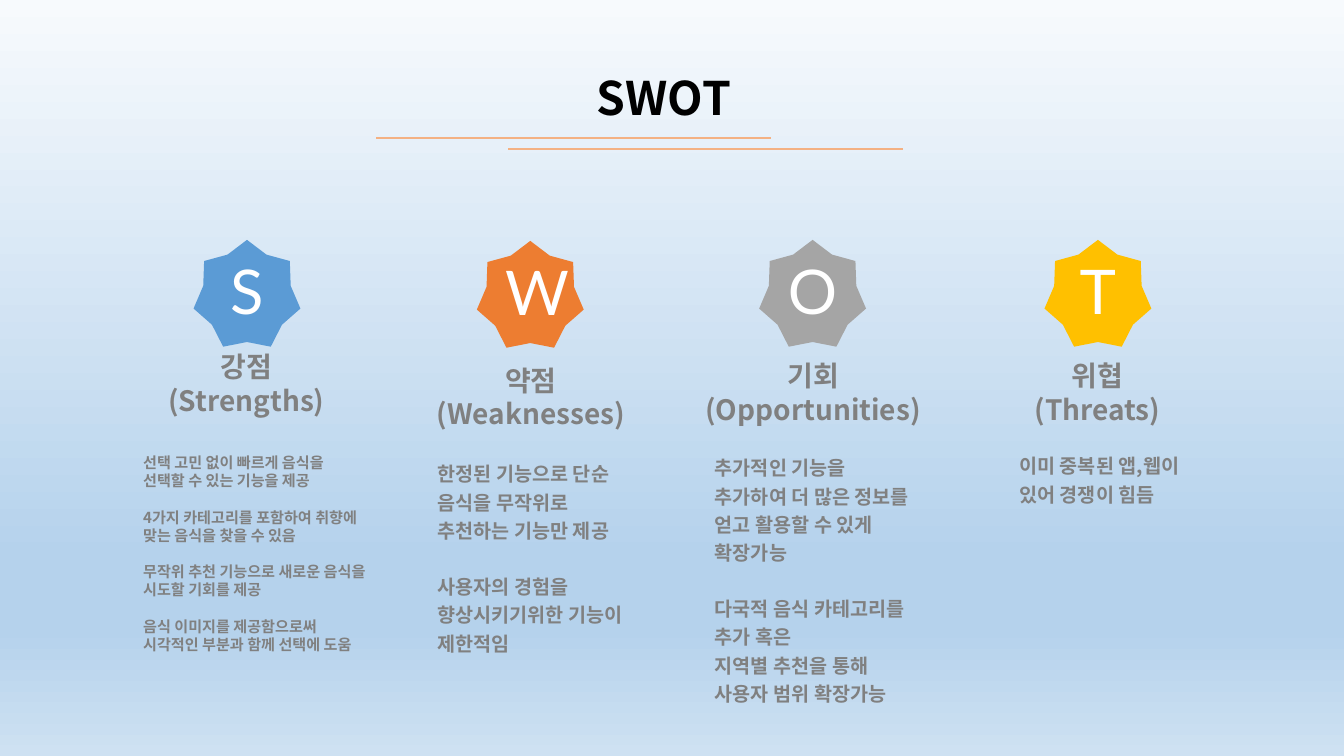
from copy import deepcopy
from dataclasses import dataclass

from lxml import etree
from pptx import Presentation
from pptx.dml.color import RGBColor
from pptx.enum import shapes, text
from pptx.oxml import ns
from pptx.util import Inches, Pt

KOREAN = "Noto Sans CJK KR"
GREY = "808080"


@dataclass
class Column:
    letter: str
    fill: str
    star: tuple[float, float]
    head: tuple[float, float]
    names: list[str]
    body: tuple[float, float, float, float]
    blocks: list[list[str]]
    inset: float = 0
    size: float = 14
    pitch: float = 1.2
    gap: float = 20


COLUMNS = [
    Column("S", "5B9BD5", (1.92, 2.38), (1.24, 3.64), ["강점", "(Strengths)"],
           (1.42, 4.5, 2.27, 2.35),
           [["선택 고민 없이 빠르게 음식을", "선택할 수 있는 기능을 제공"],
            ["4가지 카테고리를 포함하여 취향에 맞는 음식을 찾을 수 있음"],
            ["무작위 추천 기능으로 새로운 음식을 시도할 기회를 제공"],
            ["음식 이미지를 제공함으로써", "시각적인 부분과 함께 선택에 도움"]],
           size=10.8, pitch=1, gap=13),
    Column("O", "A5A5A5", (7.53, 2.38), (6.86, 3.73), ["기회", "(Opportunities)"],
           (7.06, 4.48, 2.01, 2.58),
           [["추가적인 기능을 추가하여 더 많은 정보를 얻고 활용할 수 있게 확장가능"],
            ["다국적 음식 카테고리를 추가 혹은",
             "지역별 추천을 통해 사용자 범위 확장가능"]],
           inset=0.03),
    Column("T", "FFC000", (10.36, 2.38), (9.68, 3.73), ["위협", "(Threats)"],
           (9.96, 4.46, 2.01, 2.14),
           [["이미 중복된 앱,웹이 있어 경쟁이 힘듬"]],
           inset=0.15),
    Column("W", "ED7D31", (4.73, 2.39), (4.06, 3.77), ["약점", "(Weaknesses)"],
           (4.26, 4.54, 2.01, 2.22),
           [["한정된 기능으로 단순 음식을 무작위로 추천하는 기능만 제공"],
            ["사용자의 경험을 향상시키기위한 기능이 제한적임"]],
           inset=0.08),
]


def paint(color, code: str) -> None:
    color.rgb = RGBColor.from_string(code)


def add_run(para, words: str, size: float, code: str,
            face: str = KOREAN, bold: bool = True) -> None:
    run = para.add_run()
    run.text = words
    font = run.font
    font.size, font.name, font.bold = Pt(size), face, bold
    paint(font.color, code)
    east = etree.SubElement(font._element, ns.qn("a:ea"))
    east.set("typeface", face)


def next_para(frame, first: bool):
    return frame.paragraphs[0] if first else frame.add_paragraph()


def add_box(group, place: tuple[float, float, float, float]):
    """Add a text box without insets and return its frame."""
    frame = group.shapes.add_textbox(*map(Inches, place)).text_frame
    frame.margin_left = frame.margin_right = 0
    frame.margin_top = frame.margin_bottom = 0
    frame.word_wrap = True
    return frame


def add_star(group, col: Column) -> None:
    star = group.shapes.add_shape(
        shapes.MSO_SHAPE.STAR_7_POINT, *map(Inches, (*col.star, 1.06, 1.06)))
    star.adjustments[0] = 0.409
    star.shadow.inherit = False
    star.fill.solid()
    paint(star.fill.fore_color, col.fill)
    star.line.fill.background()
    para = star.text_frame.paragraphs[0]
    para.alignment = text.PP_ALIGN.CENTER
    add_run(para, col.letter, 44, "FFFFFF", "Lato", False)


def add_body(group, col: Column) -> None:
    frame = add_box(group, col.body)
    frame.margin_left = Inches(col.inset)
    for i, block in enumerate(col.blocks):
        for j, words in enumerate(block):
            para = next_para(frame, i == j == 0)
            para.line_spacing = col.pitch
            if i and not j:
                para.space_before = Pt(col.gap)
            add_run(para, words, col.size, GREY)


def add_head(group, col: Column) -> None:
    frame = add_box(group, (*col.head, 2.41, 0.33))
    frame.vertical_anchor = text.MSO_ANCHOR.MIDDLE
    for i, words in enumerate(col.names):
        para = next_para(frame, i == 0)
        para.alignment = text.PP_ALIGN.CENTER
        add_run(para, words, 20, GREY)


def add_rule(slide, left: float, top: float) -> None:
    rule = slide.shapes.add_connector(
        shapes.MSO_CONNECTOR.STRAIGHT,
        *map(Inches, (left, top, left + 3.92, top)))
    paint(rule.line.color, "F4B183")
    rule.line.width = Pt(1.5)
    etree.SubElement(rule._element.spPr, ns.qn("a:effectLst"))


def set_back(slide) -> None:
    fill = slide.background.fill
    fill.gradient()
    fill.gradient_angle = 270
    stops = slide.element.find(".//" + ns.qn("a:gsLst"))
    for _ in range(2):
        stops.append(deepcopy(stops[0]))
    marks = [(0, "F7FAFD"), (0.74, "B5D2EC"), (0.83, "B5D2EC"), (1, "CEE1F2")]
    for stop, (spot, code) in zip(fill.gradient_stops, marks):
        stop.position = spot
        paint(stop.color, code)


def set_title(slide) -> None:
    title = slide.shapes.title
    title.left, title.top, title.width, title.height = map(
        Inches, (4.6, 0.64, 3.97, 0.66))
    frame = title.text_frame
    frame.auto_size = text.MSO_AUTO_SIZE.NONE
    frame.word_wrap = False
    frame.vertical_anchor = text.MSO_ANCHOR.TOP
    para = frame.paragraphs[0]
    para.alignment = text.PP_ALIGN.CENTER
    add_run(para, "SWOT", 33, "000000")


def main() -> None:
    deck = Presentation()
    deck.slide_width, deck.slide_height = Inches(13.33), Inches(7.5)
    slide = deck.slides.add_slide(deck.slide_layouts[5])
    set_back(slide)
    set_title(slide)
    for left, top in [(3.73, 1.37), (5.04, 1.48)]:
        add_rule(slide, left, top)
    for col in COLUMNS:
        group = slide.shapes.add_group_shape()
        add_star(group, col)
        add_body(group, col)
        add_head(group, col)
    deck.save("out.pptx")


if __name__ == "__main__":
    main()
